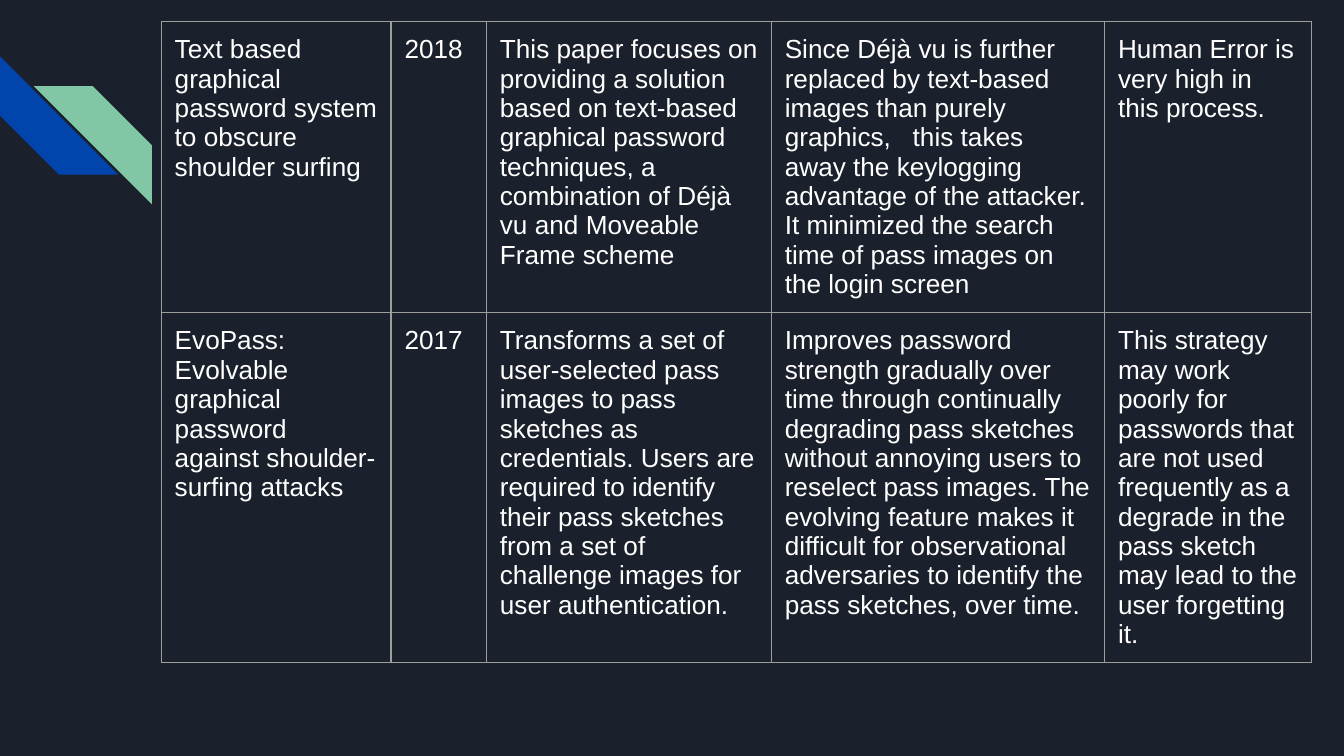
from lxml.etree import SubElement
from pptx import Presentation
from pptx.dml.color import RGBColor
from pptx.enum.shapes import MSO_SHAPE
from pptx.oxml.ns import qn
from pptx.util import Inches, Pt

NAVY = RGBColor(0x1B, 0x21, 0x2C)
BLUE = RGBColor(0x01, 0x45, 0xAC)
GREEN = RGBColor(0x82, 0xC7, 0xA5)
GRAY = RGBColor(0x9E, 0x9E, 0x9E)
WHITE = RGBColor(0xFF, 0xFF, 0xFF)

# Content: paper, year, method, advantages, limitations
PAPERS = [
    (
        "Text based graphical password system to obscure shoulder surfing",
        "2018",
        "This paper focuses on providing a solution based on text-based graphical "
        "password techniques, a combination of Déjà vu and Moveable Frame scheme",
        "Since Déjà vu is further replaced by text-based images than purely "
        "graphics,   this takes away the keylogging advantage of the attacker. "
        "It minimized the search time of pass images on the login screen",
        "Human Error is very high in this process.",
    ),
    (
        "EvoPass: Evolvable graphical password against shoulder-surfing attacks",
        "2017",
        "Transforms a set of user-selected pass images to pass sketches as "
        "credentials. Users are required to identify their pass sketches from a "
        "set of challenge images for user authentication.",
        "Improves password strength gradually over time through continually "
        "degrading pass sketches without annoying users to reselect pass images. "
        "The evolving feature makes it difficult for observational adversaries to "
        "identify the pass sketches, over time.",
        "This strategy may work poorly for passwords that are not used frequently "
        "as a degrade in the pass sketch may lead to the user forgetting it.",
    ),
]
COLUMN_WIDTHS = [1.71, 0.71, 2.12, 2.48, 1.54]
ROW_HEIGHTS = [1.98, 2.6]
TABLE_LEFT, TABLE_TOP = 1.2, 0.16
CELL_MARGIN = Inches(0.1)

# Corner stripes: left, top, rotation, mirrored, colour
STRIPE_SIZE = 0.88
STRIPES = [(0, 0.42, 270, False, BLUE), (0.25, 0.64, 0, True, GREEN)]


def add_stripe(slide, left, top, rotation, mirrored, color):
    stripe = slide.shapes.add_shape(
        MSO_SHAPE.DIAGONAL_STRIPE, Inches(left), Inches(top),
        Inches(STRIPE_SIZE), Inches(STRIPE_SIZE))
    stripe.shadow.inherit = False
    stripe.adjustments[0] = 0.5
    stripe.rotation = rotation
    stripe.fill.solid()
    stripe.fill.fore_color.rgb = color
    stripe.line.fill.background()
    if mirrored:
        stripe.element.spPr.find(qn("a:xfrm")).set("flipH", "1")


def add_borders(cell):
    properties = cell._tc.get_or_add_tcPr()
    for position, side in enumerate(("a:lnL", "a:lnR", "a:lnT", "a:lnB")):
        line = SubElement(properties, qn(side), w=str(Pt(0.75)))
        properties.insert(position, line)
        fill = SubElement(line, qn("a:solidFill"))
        SubElement(fill, qn("a:srgbClr"), val=str(GRAY))


def fill_cell(cell, text):
    cell.margin_left = cell.margin_right = CELL_MARGIN
    cell.margin_top = cell.margin_bottom = CELL_MARGIN
    cell.fill.background()
    add_borders(cell)
    run = cell.text_frame.paragraphs[0].add_run()
    run.text = text
    run.font.name = "Arial"
    run.font.size = Pt(14)
    run.font.color.rgb = WHITE


def add_paper_table(slide):
    table = slide.shapes.add_table(
        len(PAPERS), len(COLUMN_WIDTHS), Inches(TABLE_LEFT), Inches(TABLE_TOP),
        Inches(sum(COLUMN_WIDTHS)), Inches(sum(ROW_HEIGHTS))).table
    table.first_row = False
    table.horz_banding = False
    for column, width in zip(table.columns, COLUMN_WIDTHS):
        column.width = Inches(width)
    for row, height, paper in zip(table.rows, ROW_HEIGHTS, PAPERS):
        row.height = Inches(height)
        for cell, text in zip(row.cells, paper):
            fill_cell(cell, text)


def main():
    # Widescreen 16:9 slide
    presentation = Presentation()
    presentation.slide_width = Inches(10)
    presentation.slide_height = Inches(10 * 9 / 16)
    blank_layout = presentation.slide_layouts[6]
    slide = presentation.slides.add_slide(blank_layout)

    # Background and corner decoration
    slide.background.fill.solid()
    slide.background.fill.fore_color.rgb = NAVY
    for stripe in STRIPES:
        add_stripe(slide, *stripe)

    # Literature survey
    add_paper_table(slide)
    presentation.save("out.pptx")


if __name__ == "__main__":
    main()
